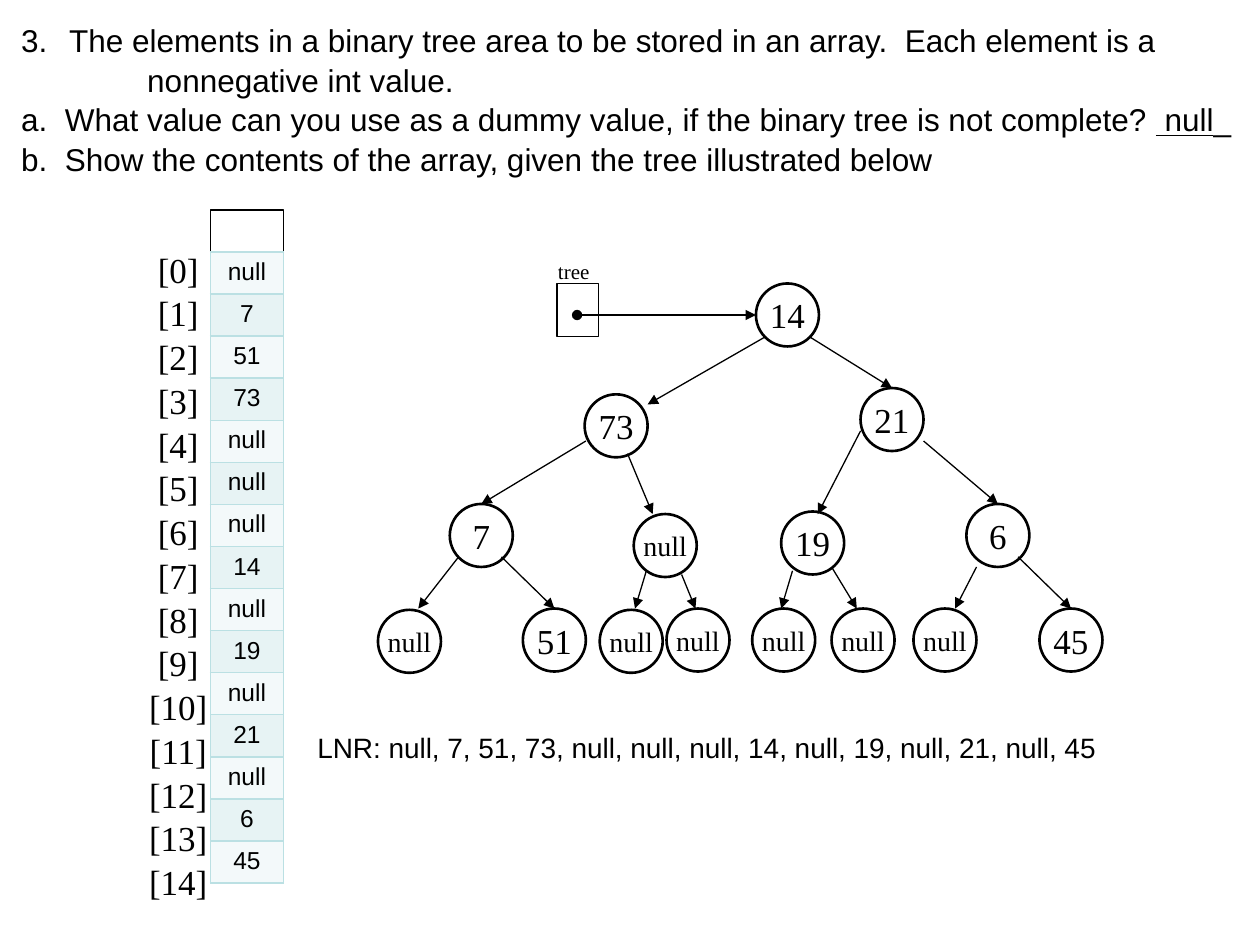
from pptx import Presentation
from pptx import util as u
from pptx.dml import color
from pptx.enum import shapes, text
from pptx.oxml import parse_xml
from pptx.oxml.ns import nsdecls

WIDE, HIGH = 10, 7.5
SANS, SERIF = "Arial", "Times New Roman"
INK, EDGE = "000000", "BBE0E3"
BANDS = ("F3F9FA", "E7F3F4")
ROW = 1 / 3                      # height of one array row
LEFT, TOP, CELL = 1.67, 2, 0.58  # array column
NODE = 0.5                       # node diameter

ITEMS = ["null", "7", "51", "73", "null", "null", "null", "14",
         "null", "19", "null", "21", "null", "6", "45"]

# Left, top and label of each tree node, level by level
NODES = [
    (6, 2.25, "14"),
    (4.64, 3.13, "73"), (6.83, 3.08, "21"),
    (3.57, 4, "7"), (5.03, 4.08, "null"), (6.2, 4.06, "19"), (7.67, 4, "6"),
    (3, 4.84, "null"), (4.15, 4.83, "51"), (4.76, 4.84, "null"),
    (5.29, 4.83, "null"), (5.97, 4.83, "null"), (6.6, 4.83, "null"),
    (7.25, 4.83, "null"), (8.25, 4.83, "45"),
]

# Start and end of each branch, level by level
LINKS = [
    (6.08, 2.67, 5.14, 3.21), (6.42, 2.67, 7.08, 3.08),
    (4.65, 3.5, 3.82, 4), (4.98, 3.6, 5.18, 4.08),
    (6.83, 3.42, 6.49, 4.08), (7.33, 3.5, 7.92, 4),
    (3.64, 4.42, 3.32, 4.83), (3.98, 4.42, 4.4, 4.83),
    (5.13, 4.53, 5.04, 4.83), (5.41, 4.56, 5.52, 4.83),
    (6.29, 4.53, 6.2, 4.83), (6.6, 4.5, 6.8, 4.83),
    (7.75, 4.5, 7.58, 4.83), (8.08, 4.42, 8.5, 4.83),
]


def paint(target, tone):
    target.rgb = color.RGBColor.from_string(tone)


def inch(*sizes):
    return [u.Inches(size) for size in sizes]


def write(frame, lines, size=18, font=SANS, align="LEFT", wrap=False, gap=0):
    """Fill a frame; each line is a string or a list of (words, underlined)."""
    frame.word_wrap = wrap
    for i, line in enumerate(lines):
        para = frame.paragraphs[0] if i == 0 else frame.add_paragraph()
        para.alignment = getattr(text.PP_ALIGN, align)
        para.space_after = u.Pt(gap)
        for words, under in [(line, None)] if isinstance(line, str) else line:
            run = para.add_run()
            run.text = words
            run.font.size, run.font.name = u.Pt(size), font
            run.font.underline = under
            paint(run.font.color, INK)


def label(slide, box, lines, **style):
    frame = slide.shapes.add_textbox(*inch(*box)).text_frame
    write(frame, lines, **style)
    return frame


def outline(slide, kind, box, width):
    shape = slide.shapes.add_shape(kind, *inch(*box))
    shape.shadow.inherit = False
    shape.fill.background()
    paint(shape.line.color, INK)
    shape.line.width = u.Pt(width)
    return shape


def node(slide, left, top, name):
    ring = outline(slide, shapes.MSO_SHAPE.OVAL, (left, top, NODE, NODE), 1.5)
    frame = ring.text_frame
    frame.vertical_anchor = text.MSO_ANCHOR.MIDDLE
    write(frame, [name], size=16 if name == "null" else 20,
          font=SERIF, align="CENTER")


def arrow(slide, ends, head=None):
    link = slide.shapes.add_connector(shapes.MSO_CONNECTOR.STRAIGHT, *inch(*ends))
    paint(link.line.color, INK)
    link.line.width = u.Pt(0.75)
    pen = link.line._get_or_add_ln()
    if head:
        pen.append(parse_xml(f'<a:headEnd {nsdecls("a")} type="{head}"/>'))
    pen.append(parse_xml(f'<a:tailEnd {nsdecls("a")} type="triangle"/>'))
    pen.addnext(parse_xml(f'<a:effectLst {nsdecls("a")}/>'))


def border(cell):
    props = cell._tc.get_or_add_tcPr()
    for i, side in enumerate(("lnL", "lnR", "lnT", "lnB")):
        props.insert(i, parse_xml(
            f'<a:{side} {nsdecls("a")} w="12700"><a:solidFill>'
            f'<a:srgbClr val="{EDGE}"/></a:solidFill></a:{side}>'))


def indent(para, left, hang=0.38):
    props = para._p.get_or_add_pPr()
    props.set("marL", str(u.Inches(left)))
    props.set("indent", str(-u.Inches(hang)))
    return props


def question(slide):
    frame = label(slide, (0.07, 0.12, 9.89, 1.31), [
        "The elements in a binary tree area to be stored in an array.  "
        "Each element is a ",
        "nonnegative int value.",
        [("a.  What value can you use as a dummy value, if the binary tree "
          "is not complete? ", None), (" null", True), ("_", False)],
        "b.  Show the contents of the array, given the tree illustrated below",
    ], gap=1)
    for para, left in zip(frame.paragraphs, (0.38, 1.38, 0.38, 0.38)):
        indent(para, left)
    frame.paragraphs[0]._p.pPr.append(parse_xml(
        f'<a:buAutoNum {nsdecls("a")} type="arabicPeriod" startAt="3"/>'))
    frame.paragraphs[1].level = 1


def array(slide):
    count = len(ITEMS)
    outline(slide, shapes.MSO_SHAPE.RECTANGLE,
            (LEFT, TOP - ROW, CELL, (count + 1) * ROW), 0.75)
    label(slide, (1.08, 1.92, 0.67, 5.15), [f"[{i}]" for i in range(count)],
          size=20, font=SERIF, align="CENTER", gap=1)
    grid = slide.shapes.add_table(
        count, 1, *inch(LEFT, TOP, CELL, count * ROW)).table
    grid.first_row = grid.horz_banding = False
    for i, item in enumerate(ITEMS):
        cell = grid.cell(i, 0)
        cell.fill.solid()
        paint(cell.fill.fore_color, BANDS[i % 2])
        border(cell)
        write(cell.text_frame, [item], size=14, align="CENTER", wrap=True)


def tree(slide):
    # Root pointer
    label(slide, (4.33, 2, 0.45, 0.3), ["tree"], size=12, font=SERIF)
    outline(slide, shapes.MSO_SHAPE.RECTANGLE, (4.42, 2.25, 0.33, 0.42), 0.75)
    arrow(slide, (4.58, 2.5, 6, 2.5), head="oval")
    # Nodes and branches
    for spot in NODES:
        node(slide, *spot)
    for ends in LINKS:
        arrow(slide, ends)
    # Inorder walk
    label(slide, (2.42, 5.75, 6.5, 0.37), ["LNR: " + ", ".join(
        item for item in ITEMS if item != "6")], size=16, wrap=True)


def main():
    deck = Presentation()
    deck.slide_width, deck.slide_height = inch(WIDE, HIGH)
    slide = deck.slides.add_slide(deck.slide_layouts[6])
    question(slide)
    array(slide)
    tree(slide)
    deck.save("out.pptx")


main()
